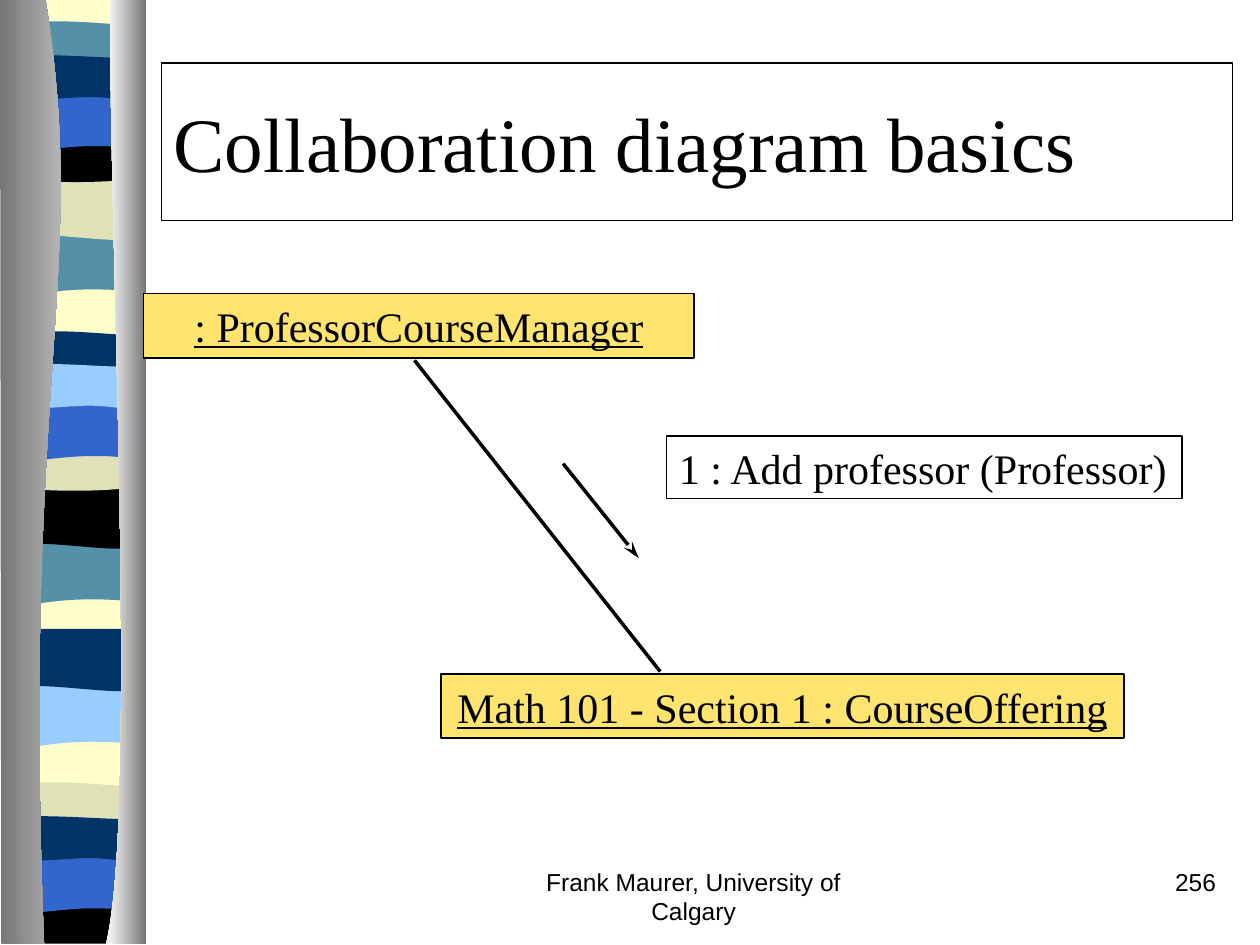
from dataclasses import dataclass

from lxml import etree
from pptx import Presentation
from pptx.dml.color import RGBColor
from pptx.enum.shapes import MSO_CONNECTOR, MSO_SHAPE
from pptx.enum.text import MSO_ANCHOR, MSO_AUTO_SIZE, PP_ALIGN
from pptx.oxml.ns import qn
from pptx.util import Inches, Pt

LEFT, CENTER, RIGHT = PP_ALIGN.LEFT, PP_ALIGN.CENTER, PP_ALIGN.RIGHT
TOP, MIDDLE = MSO_ANCHOR.TOP, MSO_ANCHOR.MIDDLE
RECTANGLE, STRAIGHT = MSO_SHAPE.RECTANGLE, MSO_CONNECTOR.STRAIGHT

COLORS = {
    "ink": "000000", "object": "FFE46F", "cream": "FFFFCC", "teal": "5490A8",
    "sand": "E1E1B7", "black": "000000", "blue": "3366CC", "navy": "003366",
    "sky": "99CCFF", "shade": "767676", "gleam": "D3D3D3", "white": "FFFFFF",
}
SERIF, SANS = "Times New Roman", "Arial"

# The slide is a grid of 10 columns by 7.5 rows.
COLUMNS, ROWS = 10, 7.5
SLIDE_WIDTH, SLIDE_HEIGHT = Inches(10), Inches(7.5)

# Outlines: a pair is a corner, six numbers are a Bezier curve to its last pair.
BAND = 1.08
OUTLINES = {
    "backdrop": [(BAND, 0), (BAND, 7.48), (0, 7.48), (0, 0)],
    "dip": [(BAND, 0), (BAND, 0.47), (0.33, 0.39, 0.18, 0.55, 0, 0.47), (0, 0)],
    "sag": [(BAND, 0), (BAND, 0.47), (0.9, 0.55, 0.33, 0.41, 0, 0.47), (0, 0)],
    "hump": [(BAND, 0.05), (BAND, 0.29), (0.9, 0.33, 0.18, 0.33, 0, 0.29),
             (0, 0.05), (0.06, 0, 0.23, 0.01, 0.41, 0.01),
             (0.59, 0.01, 0.94, 0.04, BAND, 0.05)],
    "swell": [(BAND, 0), (BAND, 0.32), (0.9, 0.38, 0.18, 0.38, 0, 0.32),
              (0, 0), (0.66, 0.05, 0.85, 0, BAND, 0)],
    "base": [(BAND, 0), (BAND, 0.37), (0, 0.37), (0, 0),
             (0.66, 0.05, 0.85, 0, BAND, 0)],
    "arch": [(BAND, 0), (BAND, 0.47), (0.91, 0.42, 0.84, 0.42, 0.66, 0.42),
             (0.48, 0.42, 0.16, 0.47, 0, 0.47), (0, 0)],
    "ribbon": [(BAND, 0.05), (BAND, 0.36), (1.01, 0.41, 0.84, 0.36, 0.66, 0.36),
               (0.48, 0.36, 0.11, 0.41, 0, 0.36), (0, 0.05),
               (0.15, 0, 0.73, 0.05, 0.91, 0.05),
               (1.09, 0.05, 1.04, 0.05, BAND, 0.05)],
    "left pillar": [(0.36, 0), (0.71, 2.17, 0.17, 2.97, 0.35, 7.5),
                    (0.01, 7.5), (0, 0)],
    "right pillar": [(0.04, 0), (0, 1.26, 0.27, 6.47, 0, 7.5),
                     (0.32, 7.5), (0.32, 0.01)],
}


@dataclass(frozen=True)
class Piece:
    outline: str
    column: float
    row: float
    colors: tuple[str, ...]


@dataclass(frozen=True)
class Label:
    text: str
    column: float
    row: float
    width: float
    height: float
    size: int = 24
    font: str = SERIF
    align: PP_ALIGN = LEFT
    anchor: MSO_ANCHOR = TOP
    fill: str | None = None
    line_width: float = 0
    underline: bool = False
    wrap: bool = True


@dataclass(frozen=True)
class Link:
    start: tuple[float, float]
    end: tuple[float, float]
    arrow: bool = False


PIECES = [
    Piece("backdrop", 0.06, -0.01, ("cream",)),
    Piece("dip", 0.06, 1.85, ("teal",)),
    Piece("sag", 0.06, 1.41, ("sand",)),
    Piece("hump", 0.06, 0.16, ("teal",)),
    Piece("swell", 0.06, 1.08, ("black",)),
    Piece("arch", 0.06, 0.74, ("blue",)),
    Piece("ribbon", 0.06, 0.41, ("navy",)),
    Piece("dip", 0.05, 4.31, ("teal",)),
    Piece("sag", 0.05, 3.86, ("black",)),
    Piece("hump", 0.05, 2.62, ("navy",)),
    Piece("swell", 0.05, 3.53, ("sand",)),
    Piece("arch", 0.05, 3.2, ("blue",)),
    Piece("ribbon", 0.05, 2.86, ("sky",)),
    Piece("dip", 0.06, 5.44, ("sky",)),
    Piece("sag", 0.06, 4.99, ("navy",)),
    Piece("hump", 0.05, 6.2, ("sand",)),
    Piece("base", 0.05, 7.12, ("black",)),
    Piece("arch", 0.05, 6.79, ("blue",)),
    Piece("ribbon", 0.05, 6.45, ("navy",)),
    Piece("left pillar", 0, -0.01, ("shade", "gleam")),
    Piece("right pillar", 0.84, -0.01, ("white", "shade")),
]
OBJECT_STYLE = dict(align=CENTER, anchor=MIDDLE, fill="object", line_width=1,
                    underline=True, wrap=False)
LABELS = [
    Label("Collaboration diagram basics", 1.28, 0.5, 8.5, 1.25, size=44,
          anchor=MIDDLE, line_width=0.75),
    Label(": ProfessorCourseManager", 1.14, 2.33, 4.37, 0.51, **OBJECT_STYLE),
    Label("Math 101 - Section 1 : CourseOffering", 3.5, 5.35, 5.42, 0.51,
          **OBJECT_STYLE),
    Label("1 : Add professor (Professor)", 5.29, 3.46, 4.09, 0.5,
          line_width=0.75, wrap=False),
    Label("Frank Maurer, University of Calgary", 3.92, 6.83, 3.17, 0.5,
          size=14, font=SANS, align=CENTER),
    Label("256", 7.67, 6.83, 2.08, 0.5, size=14, font=SANS, align=RIGHT),
]
LINKS = [
    Link((3.29, 2.86), (5.24, 5.33)),
    Link((4.47, 3.68), (5.07, 4.43), arrow=True),
]


def across(columns: float) -> int:
    return round(SLIDE_WIDTH * columns / COLUMNS)


def down(rows: float) -> int:
    return round(SLIDE_HEIGHT * rows / ROWS)


def color(name: str) -> RGBColor:
    return RGBColor.from_string(COLORS[name])


def bend(shape, outline: list[tuple[float, ...]]) -> None:
    """Join the three line segments of each six-number step into one curve."""
    segments = iter(list(shape._element.iter(qn("a:lnTo"))))
    for step in outline[1:]:
        lines = [next(segments) for _ in range(len(step) // 2)]
        if len(lines) == 3:
            curve = etree.Element(qn("a:cubicBezTo"))
            lines[0].addprevious(curve)
            for line in lines:
                curve.append(line[0])
                line.getparent().remove(line)


def draw_piece(page, piece: Piece) -> None:
    outline = OUTLINES[piece.outline]
    points = [(across(piece.column + x), down(piece.row + y))
              for step in outline for x, y in zip(step[::2], step[1::2])]
    builder = page.shapes.build_freeform(*points[0])
    builder.add_line_segments(points[1:], close=True)
    shape = builder.convert_to_shape()
    bend(shape, outline)
    shape.shadow.inherit = False
    shape.line.fill.background()
    if len(piece.colors) == 1:
        shape.fill.solid()
        shape.fill.fore_color.rgb = color(piece.colors[0])
    else:
        shape.fill.gradient()
        shape.fill.gradient_angle = 0
        for stop, name in zip(shape.fill.gradient_stops, piece.colors):
            stop.color.rgb = color(name)


def draw_label(page, label: Label) -> None:
    area = (across(label.column), down(label.row),
            across(label.width), down(label.height))
    if label.line_width:
        box = page.shapes.add_shape(RECTANGLE, *area)
        box.shadow.inherit = False
        box.line.color.rgb = color("ink")
        box.line.width = Pt(label.line_width)
    else:
        box = page.shapes.add_textbox(*area)
    if label.fill:
        box.fill.solid()
        box.fill.fore_color.rgb = color(label.fill)
    else:
        box.fill.background()
    frame = box.text_frame
    frame.word_wrap = label.wrap
    frame.auto_size = MSO_AUTO_SIZE.NONE
    frame.vertical_anchor = label.anchor
    para = frame.paragraphs[0]
    para.text = label.text
    para.alignment = label.align
    para.font.name = label.font
    para.font.size = Pt(label.size)
    para.font.underline = label.underline
    para.font.color.rgb = color("ink")


def draw_link(page, link: Link) -> None:
    connector = page.shapes.add_connector(
        STRAIGHT, across(link.start[0]), down(link.start[1]),
        across(link.end[0]), down(link.end[1]))
    connector.line.color.rgb = color("ink")
    connector.line.width = Pt(2)
    if link.arrow:
        etree.SubElement(connector.line._get_or_add_ln(), qn("a:tailEnd"),
                         type="stealth", w="med", len="lg")
    etree.SubElement(connector._element.spPr, qn("a:effectLst"))


def main() -> None:
    deck = Presentation()
    deck.slide_width, deck.slide_height = SLIDE_WIDTH, SLIDE_HEIGHT
    page = deck.slides.add_slide(deck.slide_layouts[6])
    for piece in PIECES:
        draw_piece(page, piece)
    for label in LABELS:
        draw_label(page, label)
    for link in LINKS:
        draw_link(page, link)
    deck.save("out.pptx")


if __name__ == "__main__":
    main()
